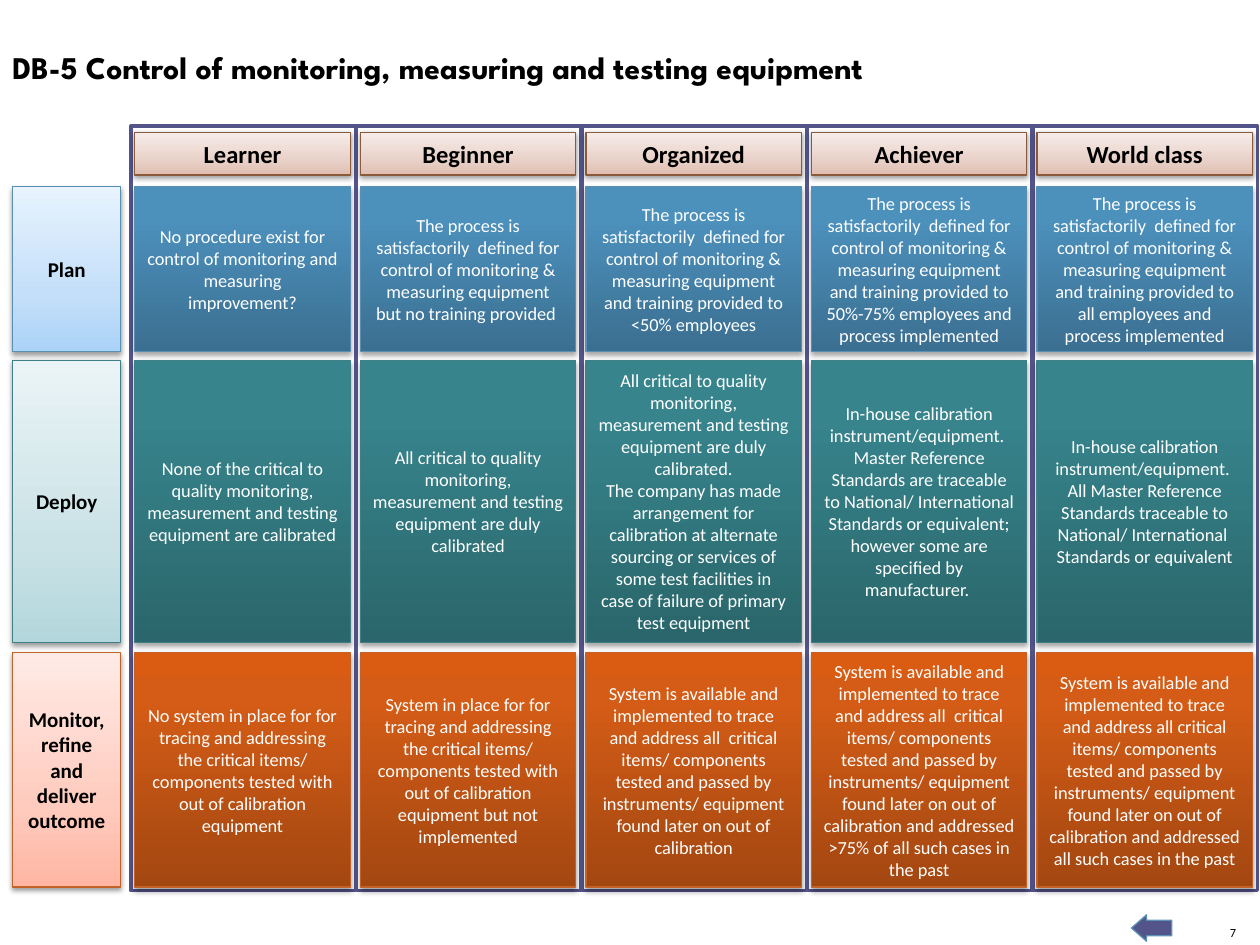
from dataclasses import dataclass

from lxml.etree import SubElement
from pptx import Presentation
from pptx.dml.color import RGBColor
from pptx.enum.shapes import MSO_SHAPE
from pptx.enum.text import MSO_ANCHOR, MSO_AUTO_SIZE, PP_ALIGN
from pptx.oxml.ns import qn
from pptx.util import Inches, Pt


@dataclass(frozen=True)
class Theme:
    font: str = "Calibri"
    title_font: str = "League Spartan"
    title_size: float = 18
    header_size: float = 14
    label_size: float = 12
    body_size: float = 10.5
    number_size: float = 7.1
    black: str = "000000"
    white: str = "FFFFFF"
    accent: str = "53548A"
    arrow_line: str = "5C92B5"
    header_line: str = "8A5B3A"
    header_stops: tuple = ((0, "E0BEB0"), (35, "E8D1C8"), (100, "F7EDEA"))


theme = Theme()


def write(frame, paragraphs, size, color, bold=False, font=theme.font, align=PP_ALIGN.CENTER):
    for index, text in enumerate(paragraphs):
        paragraph = frame.paragraphs[0] if index == 0 else frame.add_paragraph()
        paragraph.alignment = align
        run = paragraph.add_run()
        run.text = text
        run.font.name = font
        run.font.size = Pt(size)
        run.font.bold = bold
        run.font.color.rgb = RGBColor.from_string(color)


def add_card(left, top, width, height, stops, line, paragraphs, size, color, bold, shadow):
    """Add a gradient rectangle with a soft shadow; stops run from bottom to top."""
    card = slide.shapes.add_shape(
        MSO_SHAPE.RECTANGLE, Inches(left), Inches(top), Inches(width), Inches(height))
    card.fill.gradient()
    card.fill.gradient_angle = 90
    properties = card._element.spPr
    stop_list = properties.find(qn("a:gradFill")).find(qn("a:gsLst"))
    for stop in list(stop_list):
        stop_list.remove(stop)
    for position, stop_color in stops:
        stop = SubElement(stop_list, qn("a:gs"), pos=str(position * 1000))
        SubElement(stop, qn("a:srgbClr"), val=stop_color)
    card.line.color.rgb = RGBColor.from_string(line)
    card.line.width = Pt(0.75)

    card.shadow.inherit = False
    opacity, distance = shadow
    outer = SubElement(
        properties.find(qn("a:effectLst")), qn("a:outerShdw"), blurRad=str(Pt(3.1)),
        dist=str(Pt(distance)), dir="5400000", rotWithShape="0")
    shadow_color = SubElement(outer, qn("a:srgbClr"), val=theme.black)
    SubElement(shadow_color, qn("a:alpha"), val=str(opacity * 1000))

    card.text_frame.word_wrap = True
    card.text_frame.vertical_anchor = MSO_ANCHOR.MIDDLE
    write(card.text_frame, paragraphs, size, color, bold)


LIGHT_SHADOW = (38, 1.6)
DARK_SHADOW = (35, 1.8)
LABEL_LEFT, LABEL_WIDTH = 0.1, 0.86
PANEL_LEFT, PANEL_WIDTH = 1.04, 1.78
CARD_LEFT, CARD_WIDTH = 1.07, 1.71
COLUMN_PITCH = 1.79

levels = ["Learner", "Beginner", "Organized", "Achiever", "World class"]

defined = "The process is satisfactorily  defined for control of monitoring & measuring equipment "
calibrated = ("All critical to quality monitoring, measurement and testing equipment "
              "are duly calibrated")
in_house = "In-house calibration instrument/equipment. "
in_place = ("ystem in place for for tracing and addressing the critical items/ components "
            "tested with out of calibration equipment")
available = "System is available and implemented to trace and address all "
tested = ("critical items/ components tested and passed by instruments/ equipment "
          "found later on out of calibration")

rows = [
    dict(label="Plan", top=1.48, height=1.31, line="588FB3",
         light=((0, "ABD3F8"), (35, "C4DFF9"), (100, "E7F3FE")),
         dark=((0, "3B6F91"), (80, "4C90BC"), (100, "4A91BF")),
         cells=[
             ["No procedure exist for control of monitoring and measuring improvement?"],
             [defined + "but no training provided "],
             [defined + "and training provided to <50% employees"],
             [defined + "and training provided to 50%-75% employees and process implemented"],
             [defined + "and training provided to all employees and process implemented"],
         ]),
    dict(label="Deploy", top=2.86, height=2.24, line="407F85",
         light=((0, "B3D7DC"), (35, "CAE2E6"), (100, "EAF4F6")),
         dark=((0, "2A666B"), (80, "37848C"), (100, "36868E")),
         cells=[
             ["None of the critical to quality monitoring, measurement and testing "
              "equipment are calibrated"],
             [calibrated],
             [calibrated + ".",
              "The company has made arrangement for calibration at alternate sourcing or "
              "services of some test facilities in case of failure of primary test equipment"],
             [in_house,
              "Master Reference Standards are traceable to National/ International Standards "
              "or equivalent; however some are specified by manufacturer. "],
             [in_house,
              "All Master Reference Standards traceable to National/ International  Standards "
              "or equivalent"],
         ]),
    dict(label="Monitor, refine and deliver outcome", top=5.18, height=1.86, line="C36228",
         light=((0, "FFB6A3"), (35, "FFCBBE"), (100, "FFEBE6")),
         dark=((0, "A34711"), (80, "D45C16"), (100, "D95C12")),
         cells=[
             ["No s" + in_place],
             ["S" + in_place + " but not implemented"],
             [available + " " + tested],
             [available + " " + tested + " and addressed >75% of all such cases in the past"],
             [available + tested + " and addressed all such cases in the past"],
         ]),
]

presentation = Presentation()
presentation.slide_width = Inches(10)
presentation.slide_height = Inches(7.5)
slide = presentation.slides.add_slide(presentation.slide_layouts[6])

# Footer: page number and back arrow
number = slide.shapes.add_textbox(Inches(9.69), Inches(7.34), Inches(0.12), Inches(0.12))
frame = number.text_frame
frame.margin_left = frame.margin_right = frame.margin_top = frame.margin_bottom = 0
frame.word_wrap = False
frame.auto_size = MSO_AUTO_SIZE.SHAPE_TO_FIT_TEXT
frame.vertical_anchor = MSO_ANCHOR.BOTTOM
write(frame, ["7"], theme.number_size, theme.black, align=PP_ALIGN.RIGHT)

arrow = slide.shapes.add_shape(
    MSO_SHAPE.RIGHT_ARROW, Inches(8.98), Inches(7.26), Inches(0.32), Inches(0.21))
arrow.rotation = 180
arrow.adjustments[0] = 0.59
arrow.adjustments[1] = 0.57
arrow.shadow.inherit = False
arrow.fill.solid()
arrow.fill.fore_color.rgb = RGBColor.from_string(theme.accent)
arrow.line.color.rgb = RGBColor.from_string(theme.arrow_line)
arrow.line.width = Pt(0.75)

title = slide.shapes.add_textbox(Inches(0), Inches(0.33), Inches(8.6), Inches(0.4))
title.text_frame.word_wrap = True
title.text_frame.auto_size = MSO_AUTO_SIZE.SHAPE_TO_FIT_TEXT
write(title.text_frame, ["DB-5 Control of monitoring, measuring and testing equipment"],
      theme.title_size, theme.black, True, theme.title_font, PP_ALIGN.LEFT)

# Maturity grid: row labels, column panels, then cards
for row in rows:
    add_card(LABEL_LEFT, row["top"], LABEL_WIDTH, row["height"], row["light"], row["line"],
             [row["label"]], theme.label_size, theme.black, True, LIGHT_SHADOW)

for column in range(len(levels)):
    panel = slide.shapes.add_shape(
        MSO_SHAPE.RECTANGLE, Inches(PANEL_LEFT + column * COLUMN_PITCH), Inches(1),
        Inches(PANEL_WIDTH), Inches(6.07))
    panel.shadow.inherit = False
    panel.fill.solid()
    panel.fill.fore_color.rgb = RGBColor.from_string(theme.white)
    panel.line.color.rgb = RGBColor.from_string(theme.accent)
    panel.line.width = Pt(2)

for row in rows:
    for column, paragraphs in enumerate(row["cells"]):
        add_card(CARD_LEFT + column * COLUMN_PITCH, row["top"], CARD_WIDTH, row["height"],
                 row["dark"], row["line"], paragraphs, theme.body_size, theme.white, False,
                 DARK_SHADOW)

for column, level in enumerate(levels):
    add_card(CARD_LEFT + column * COLUMN_PITCH, 1.05, CARD_WIDTH, 0.34, theme.header_stops,
             theme.header_line, [level], theme.header_size, theme.black, True, LIGHT_SHADOW)

presentation.save("out.pptx")
